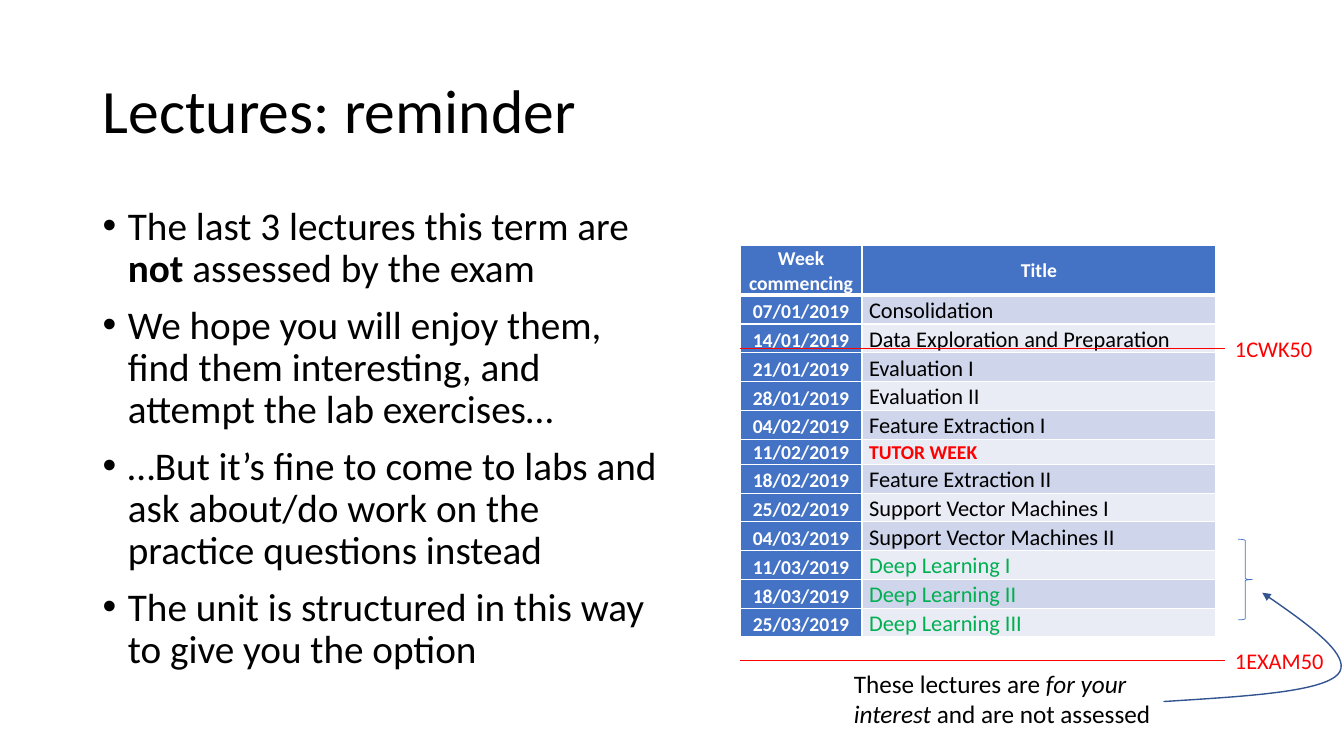
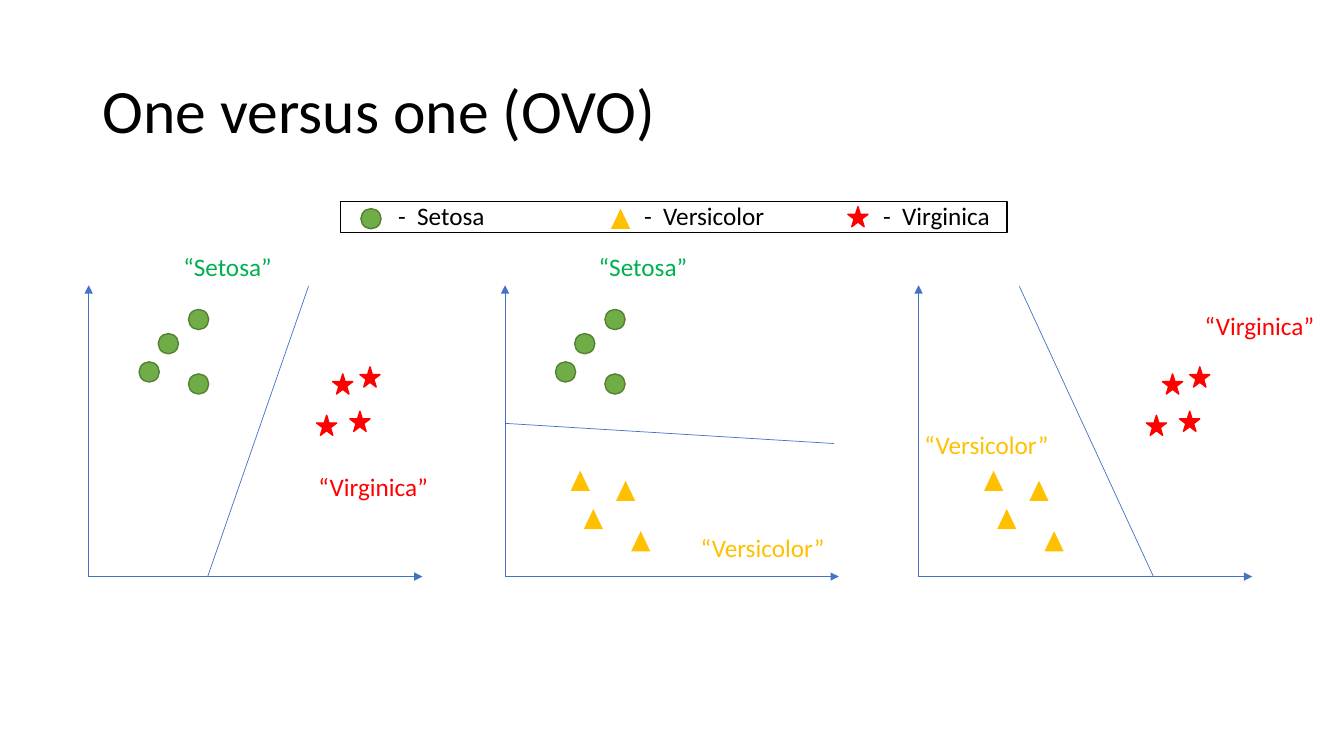
from lxml.etree import SubElement
from pptx import Presentation
from pptx.dml.color import RGBColor
from pptx.enum.shapes import MSO_CONNECTOR, MSO_SHAPE
from pptx.enum.text import MSO_ANCHOR, MSO_AUTO_SIZE, PP_ALIGN
from pptx.oxml.ns import qn
from pptx.util import Inches, Pt

FONT = "Calibri"
BLACK, WHITE, RED, GREEN = "000000", "FFFFFF", "FF0000", "00B050"
BLUE, DARK_BLUE, AMBER = "4472C4", "325491", "FFC000"
LEAF, DARK_LEAF = "70AD47", "538035"
BANDS = ("CFD5EA", "E9EBF5")

SPECIES = {
    "Setosa": dict(
        kind=MSO_SHAPE.OVAL, fill=LEAF, line=DARK_LEAF, size=(0.2, 0.2),
        label=GREEN, label_width=1.16,
        points=[(0.99, 0.24), (0.69, 0.48), (0.5, 0.76), (0.99, 0.88)]),
    "Versicolor": dict(
        kind=MSO_SHAPE.ISOSCELES_TRIANGLE, fill=AMBER, line=None, size=(0.19, 0.2),
        label=AMBER, label_width=1.55,
        points=[(0.65, 1.84), (1.1, 1.94), (0.78, 2.22), (1.25, 2.44)]),
    "Virginica": dict(
        kind=MSO_SHAPE.STAR_5_POINT, fill=RED, line=RED, size=(0.2, 0.2),
        label=RED, label_width=1.33,
        points=[(2.42, 0.88), (2.26, 1.29), (2.59, 1.25), (2.69, 0.81)]),
}

PANELS = [
    (0.88, {"Setosa": (0.84, -0.39), "Virginica": (2.18, 1.8)},
     ((1.18, 2.89), (2.18, 0.01))),
    (5.01, {"Setosa": (0.83, -0.39), "Versicolor": (1.84, 2.4)},
     ((0, 1.37), (3.26, 1.57))),
    (9.11, {"Versicolor": (-0.04, 1.38), "Virginica": (2.74, 0.2)},
     ((1, 0.01), (2.33, 2.89))),
]

LEGEND = [("Setosa", 0.2, 0.07, 0.47), ("Versicolor", 2.68, 0.07, 2.91),
          ("Virginica", 5.03, 0.05, 5.28)]

BULLETS = [
    "The last 3 lectures this term are |not| assessed by the exam",
    "We hope you will enjoy them, find them interesting, and attempt the lab exercises…",
    "…But it’s fine to come to labs and ask about/do work on the practice questions instead",
    "The unit is structured in this way to give you the option",
]

TIMETABLE = [
    ("07/01/2019", "Consolidation"),
    ("14/01/2019", "Data Exploration and Preparation"),
    ("21/01/2019", "Evaluation I"),
    ("28/01/2019", "Evaluation II"),
    ("04/02/2019", "Feature Extraction I"),
    ("11/02/2019", "TUTOR WEEK"),
    ("18/02/2019", "Feature Extraction II"),
    ("25/02/2019", "Support Vector Machines I"),
    ("04/03/2019", "Support Vector Machines II"),
    ("11/03/2019", "Deep Learning I"),
    ("18/03/2019", "Deep Learning II"),
    ("25/03/2019", "Deep Learning III"),
]


def rgb(color):
    return RGBColor.from_string(color)


def box_of(*lengths):
    return [Inches(v) for v in lengths]


def write(tf, *paragraphs, size=18, color=BLACK, bold=False, accent=None,
          align=PP_ALIGN.LEFT, spacing=1.0, before=0, bullet=None):
    for i, text in enumerate(paragraphs):
        p = tf.add_paragraph() if i else tf.paragraphs[0]
        p.alignment, p.line_spacing, p.space_before = align, spacing, Pt(before)
        if bullet:
            pPr = p._p.get_or_add_pPr()
            pPr.set("marL", str(Inches(0.25)))
            pPr.set("indent", str(Inches(-0.25)))
            SubElement(pPr, qn("a:buFont"), typeface="Arial")
            SubElement(pPr, qn("a:buChar"), char=bullet)
        for j, part in enumerate(text.split("|")):
            r = p.add_run()
            r.text = part
            f = r.font
            f.name, f.size, f.bold = FONT, Pt(size), bold
            f.color.rgb = rgb(color)
            if accent and j % 2:
                setattr(f, accent, True)


def add_text(shapes, box, *paragraphs, grow=True, **fmt):
    tf = shapes.add_textbox(*box_of(*box)).text_frame
    tf.word_wrap = True
    tf.auto_size = MSO_AUTO_SIZE.SHAPE_TO_FIT_TEXT if grow else MSO_AUTO_SIZE.NONE
    write(tf, *paragraphs, **fmt)


def style(sp, fill=None, line=None, width=1):
    sp.shadow.inherit = False
    if fill:
        sp.fill.solid()
        sp.fill.fore_color.rgb = rgb(fill)
    else:
        sp.fill.background()
    if line:
        sp.line.color.rgb = rgb(line)
        sp.line.width = Pt(width)
    else:
        sp.line.fill.background()


def add_shape(shapes, kind, box, **look):
    style(shapes.add_shape(kind, *box_of(*box)), **look)


def add_arrowhead(sp):
    SubElement(sp.element.spPr.find(qn("a:ln")), qn("a:tailEnd"), type="triangle")


def add_line(shapes, start, end, color=BLUE, arrow=False):
    c = shapes.add_connector(MSO_CONNECTOR.STRAIGHT, *box_of(*start, *end))
    c.line.color.rgb = rgb(color)
    c.line.width = Pt(0.5)
    if arrow:
        add_arrowhead(c)
    SubElement(c.element.spPr, qn("a:effectLst"))


def bezier(points, steps=20):
    for i in range(1, steps + 1):
        t = i / steps
        weights = ((1 - t) ** 3, 3 * t * (1 - t) ** 2, 3 * t * t * (1 - t), t ** 3)
        yield tuple(Inches(sum(w * p[axis] for w, p in zip(weights, points)))
                    for axis in (0, 1))


def add_curved_arrow(shapes, *segments):
    builder = shapes.build_freeform(*box_of(*segments[0][0]), scale=1.0)
    for segment in segments:
        builder.add_line_segments(list(bezier(segment)), close=False)
    sp = builder.convert_to_shape()
    style(sp, line=DARK_BLUE)
    add_arrowhead(sp)


def add_title_slide(prs, title):
    s = prs.slides.add_slide(prs.slide_layouts[5])
    sp = s.shapes.title
    sp.left, sp.top, sp.width, sp.height = box_of(0.92, 0.4, 11.5, 1.45)
    sp.text_frame.vertical_anchor = MSO_ANCHOR.MIDDLE
    write(sp.text_frame, title, size=44, spacing=0.9)
    return s


def fill_cell(cell, text, fill, anchor, top=1, bottom=1, **fmt):
    cell.margin_left = cell.margin_right = Inches(0.07)
    cell.margin_top = cell.margin_bottom = 0
    cell.vertical_anchor = anchor
    write(cell.text_frame, text, spacing=1.07, **fmt)
    tcPr = cell._tc.get_or_add_tcPr()
    for side, width in (("L", 1), ("R", 1), ("T", top), ("B", bottom)):
        ln = SubElement(tcPr, qn(f"a:ln{side}"), w=str(Pt(width)))
        SubElement(SubElement(ln, qn("a:solidFill")), qn("a:srgbClr"), val=WHITE)
    cell.fill.solid()
    cell.fill.fore_color.rgb = rgb(fill)


def topic_format(topic):
    if topic == "TUTOR WEEK":
        return dict(size=14, color=RED, bold=True)
    return dict(size=16, color=GREEN if topic.startswith("Deep") else BLACK)


def add_timetable(shapes, x, y):
    tbl = shapes.add_table(len(TIMETABLE) + 1, 2, *box_of(x, y, 4.72, 3.73)).table
    for column, width in zip(tbl.columns, (1.21, 3.51)):
        column.width = Inches(width)
    tbl.rows[0].height = Inches(0.48)
    head = dict(size=14, color=WHITE, bold=True, align=PP_ALIGN.CENTER)
    fill_cell(tbl.cell(0, 0), "Week commencing", BLUE, MSO_ANCHOR.BOTTOM, bottom=3, **head)
    fill_cell(tbl.cell(0, 1), "Title", BLUE, MSO_ANCHOR.MIDDLE, bottom=3, **head)
    for i, (week, topic) in enumerate(TIMETABLE, 1):
        fmt = topic_format(topic)
        top = 3 if i == 1 else 1
        tbl.rows[i].height = Inches(0.25 if fmt["size"] == 14 else 0.28)
        fill_cell(tbl.cell(i, 0), week, BLUE, MSO_ANCHOR.BOTTOM, top=top, **head)
        fill_cell(tbl.cell(i, 1), topic, BANDS[(i - 1) % 2], MSO_ANCHOR.TOP, top=top, **fmt)


def add_deadline(shapes, x, y, text):
    add_text(shapes, (x + 4.81, y - 0.18, 1.18, 0.37), text, size=16, color=RED)
    add_line(shapes, (x + 4.81, y), (x, y), color=RED)


def lectures_slide(prs):
    shapes = add_title_slide(prs, "Lectures: reminder").shapes
    add_text(shapes, (0.92, 2, 5.75, 4.76), *BULLETS, grow=False, size=28,
             accent="bold", spacing=0.9, before=10, bullet="•")
    add_shape(shapes, MSO_SHAPE.RIGHT_BRACE, (12.28, 5.35, 0.14, 0.8),
              line=BLUE, width=0.5)
    add_text(shapes, (8.37, 6.58, 3.16, 0.71),
             "These lectures are |for your interest| and are not assessed",
             accent="italic")
    add_timetable(shapes, 7.34, 2.43)
    add_deadline(shapes, 7.34, 3.46, "1CWK50")
    add_deadline(shapes, 7.34, 6.55, "1EXAM50")
    add_curved_arrow(
        shapes,
        [(11.54, 6.96), (12.32, 6.91), (13.1, 6.87), (13.27, 6.69)],
        [(13.27, 6.69), (13.43, 6.51), (12.97, 6.19), (12.52, 5.88)])


def add_mark(shapes, name, x, y):
    k = SPECIES[name]
    add_shape(shapes, k["kind"], (x, y, *k["size"]), fill=k["fill"], line=k["line"])


def add_panel(shapes, x, y, labels, divider):
    origin = (x, y + 2.89)
    add_line(shapes, origin, (x, y), arrow=True)
    add_line(shapes, origin, (x + 3.31, y + 2.89), arrow=True)
    for name, (dx, dy) in labels.items():
        k = SPECIES[name]
        for px, py in k["points"]:
            add_mark(shapes, name, x + px, y + py)
        add_text(shapes, (x + dx, y + dy, k["label_width"], 0.4), f"“{name}”",
                 color=k["label"])
    add_line(shapes, *[(x + dx, y + dy) for dx, dy in divider])


def add_legend(shapes, x, y):
    group = shapes.add_group_shape().shapes
    for name, mark_x, mark_y, text_x in LEGEND:
        add_mark(group, name, x + mark_x, y + mark_y)
        add_text(group, (x + text_x, y - 0.06, 1.7, 0.4), f"-  {name}")
    add_shape(group, MSO_SHAPE.RECTANGLE, (x, y, 6.61, 0.31), line=BLACK)


def one_versus_one_slide(prs):
    shapes = add_title_slide(prs, "One versus one (OVO)").shapes
    for x, labels, divider in PANELS:
        add_panel(shapes, x, 2.83, labels, divider)
    add_legend(shapes, 3.38, 2)


def main():
    prs = Presentation()
    prs.slide_width, prs.slide_height = box_of(13.33, 7.5)
    lectures_slide(prs)
    one_versus_one_slide(prs)
    prs.save("out.pptx")


if __name__ == "__main__":
    main()
